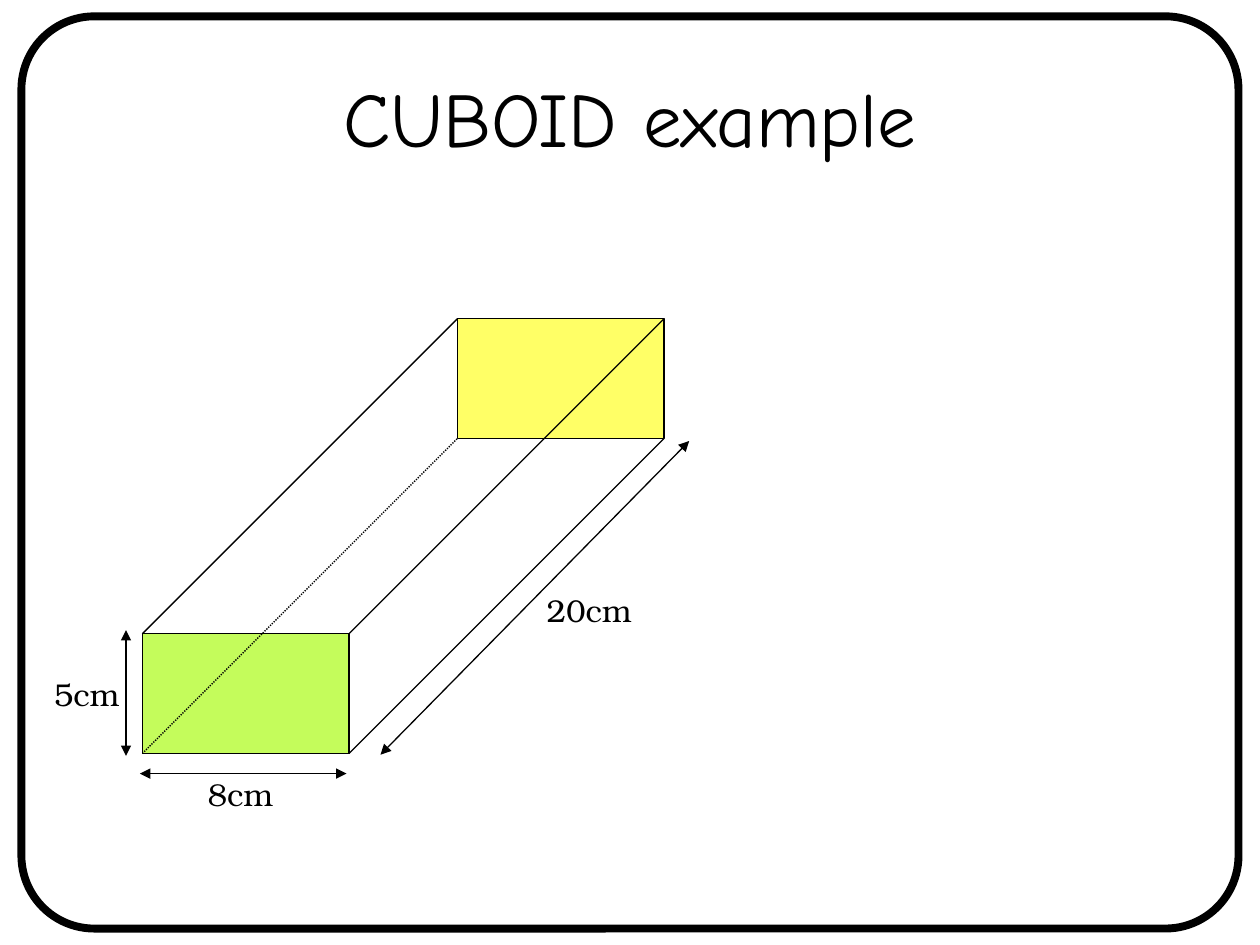
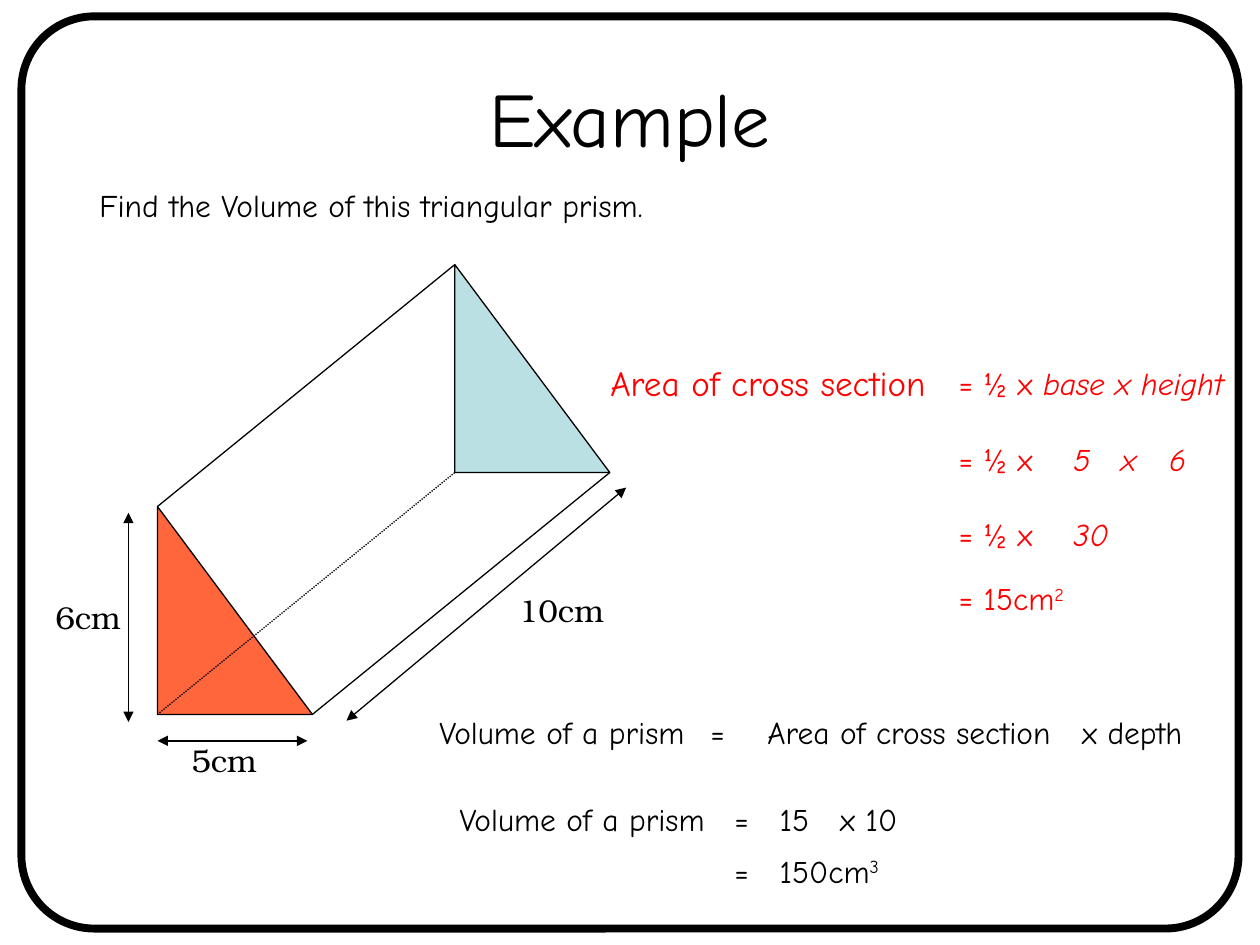
from dataclasses import dataclass

from lxml import etree
from pptx import Presentation
from pptx.dml.color import RGBColor
from pptx.enum.dml import MSO_LINE
from pptx.enum.shapes import MSO_CONNECTOR, MSO_SHAPE
from pptx.enum.text import MSO_ANCHOR, MSO_AUTO_SIZE, PP_ALIGN
from pptx.oxml.ns import qn
from pptx.util import Inches, Pt

BLACK = RGBColor(0x00, 0x00, 0x00)
RED = RGBColor(0xFF, 0x00, 0x00)
YELLOW = RGBColor(0xFF, 0xFF, 0x66)
LIME = RGBColor(0xC4, 0xFC, 0x5B)
PALE_BLUE = RGBColor(0xBB, 0xE0, 0xE3)
ORANGE = RGBColor(0xFF, 0x66, 0x3B)

BODY_FONT = "Comic Neue"
MEASURE_FONT = "TeX Gyre Bonum"

RECTANGLE = MSO_SHAPE.RECTANGLE
RIGHT_TRIANGLE = MSO_SHAPE.RIGHT_TRIANGLE
ROUNDED_RECTANGLE = MSO_SHAPE.ROUNDED_RECTANGLE
STRAIGHT = MSO_CONNECTOR.STRAIGHT
DOTTED = MSO_LINE.ROUND_DOT
LEFT, CENTER = PP_ALIGN.LEFT, PP_ALIGN.CENTER
MIDDLE = MSO_ANCHOR.MIDDLE
FIT_SHAPE, NO_FIT = MSO_AUTO_SIZE.SHAPE_TO_FIT_TEXT, MSO_AUTO_SIZE.NONE

THIN, THICK = 0.75, 4.5
TEXT_HEIGHT = 0.4
MEASURE_WIDTH = 0.92
WORKING_LEFT, WORKING_WIDTH = 7.51, 2.49
WORKING_TABS = (0.91, 1.29, 1.67)
RESULT_LEFT, RESULT_WIDTH = 5.73, 1.82
RESULT_TABS = (0.36, 0.84)
FORMULA_TOP = 5.61

Point = tuple[float, float]


@dataclass(frozen=True)
class Prism:
    face: int
    left: float
    top: float
    width: float
    height: float
    depth: Point
    front_color: RGBColor
    back_color: RGBColor


@dataclass(frozen=True)
class Dimension:
    start: Point
    end: Point
    text: str
    text_left: float
    text_top: float


@dataclass(frozen=True)
class Piece:
    text: str
    italic: bool = False
    superscript: bool = False


@dataclass(frozen=True)
class TextLine:
    pieces: tuple[Piece, ...]
    left: float
    top: float
    width: float
    height: float = TEXT_HEIGHT
    size: int = 18
    color: RGBColor = BLACK
    font: str = BODY_FONT
    align: int = LEFT
    tabs: tuple[float, ...] = ()


@dataclass(frozen=True)
class Page:
    title: str
    prism: Prism
    dimensions: tuple[Dimension, ...]
    lines: tuple[TextLine, ...] = ()


def plain(text: str, left: float, top: float, width: float, **style) -> TextLine:
    return TextLine((Piece(text),), left, top, width, **style)


def working(top: float, *pieces: Piece) -> TextLine:
    return TextLine(pieces, WORKING_LEFT, top, WORKING_WIDTH, color=RED, tabs=WORKING_TABS)


def result(top: float, *pieces: Piece) -> TextLine:
    return TextLine(pieces, RESULT_LEFT, top, RESULT_WIDTH, tabs=RESULT_TABS)


def set_attributes(target, values: dict) -> None:
    for name, value in values.items():
        setattr(target, name, value)


def format_run(run, font: str, size: int, color: RGBColor, italic: bool = False) -> None:
    set_attributes(run.font, {"name": font, "size": Pt(size), "italic": italic})
    run.font.color.rgb = color


def add_tabs(paragraph, positions: tuple[float, ...]) -> None:
    tab_list = etree.SubElement(paragraph._p.get_or_add_pPr(), qn("a:tabLst"))
    for position in positions:
        etree.SubElement(tab_list, qn("a:tab"), pos=str(Inches(position)), algn="l")


def add_text(slide, line: TextLine) -> None:
    box = slide.shapes.add_textbox(
        Inches(line.left), Inches(line.top), Inches(line.width), Inches(line.height)
    )
    set_attributes(box.text_frame, {"word_wrap": True, "auto_size": FIT_SHAPE})
    paragraph = box.text_frame.paragraphs[0]
    paragraph.alignment = line.align
    if line.tabs:
        add_tabs(paragraph, line.tabs)
    for piece in line.pieces:
        run = paragraph.add_run()
        run.text = piece.text
        format_run(run, line.font, line.size, line.color, piece.italic)
        if piece.superscript:
            run._r.get_or_add_rPr().set("baseline", "30000")


def add_outlined_shape(
    slide, kind: int, left: float, top: float, width: float, height: float,
    fill: RGBColor | None = None, weight: float = THIN,
):
    shape = slide.shapes.add_shape(
        kind, Inches(left), Inches(top), Inches(width), Inches(height)
    )
    shape.shadow.inherit = False
    if fill is None:
        shape.fill.background()
    else:
        shape.fill.solid()
        shape.fill.fore_color.rgb = fill
    shape.line.color.rgb = BLACK
    shape.line.width = Pt(weight)
    return shape


def add_line(slide, start: Point, end: Point, dotted: bool = False, arrows: bool = False) -> None:
    connector = slide.shapes.add_connector(
        STRAIGHT, *(Inches(value) for value in (*start, *end))
    )
    connector.line.color.rgb = BLACK
    connector.line.width = Pt(THIN)
    if dotted:
        connector.line.dash_style = DOTTED
    if arrows:
        outline = connector.line._get_or_add_ln()
        for tag in ("a:headEnd", "a:tailEnd"):
            etree.SubElement(outline, qn(tag), type="triangle")
    etree.SubElement(connector._element.spPr, qn("a:effectLst"))


def add_prism(slide, prism: Prism) -> None:
    shift_x, shift_y = prism.depth
    size = (prism.width, prism.height)
    add_outlined_shape(
        slide, prism.face, prism.left + shift_x, prism.top + shift_y, *size, prism.back_color
    )
    add_outlined_shape(slide, prism.face, prism.left, prism.top, *size, prism.front_color)
    right, bottom = prism.left + prism.width, prism.top + prism.height
    hidden_corner = (prism.left, bottom)
    corners = [(right, bottom), hidden_corner, (prism.left, prism.top)]
    if prism.face == RECTANGLE:
        corners.append((right, prism.top))
    for x, y in corners:
        add_line(slide, (x, y), (x + shift_x, y + shift_y), dotted=(x, y) == hidden_corner)


def add_dimension(slide, dimension: Dimension) -> None:
    add_line(slide, dimension.start, dimension.end, arrows=True)
    add_text(slide, plain(
        dimension.text, dimension.text_left, dimension.text_top, MEASURE_WIDTH,
        font=MEASURE_FONT,
    ))


def add_title(slide, text: str) -> None:
    title = slide.shapes.title
    set_attributes(title, {
        "left": Inches(0.5), "top": Inches(0.3), "width": Inches(9), "height": Inches(1.25),
    })
    set_attributes(title.text_frame, {
        "vertical_anchor": MIDDLE, "word_wrap": True, "auto_size": NO_FIT,
    })
    paragraph = title.text_frame.paragraphs[0]
    paragraph.alignment = CENTER
    run = paragraph.add_run()
    run.text = text
    format_run(run, BODY_FONT, 44, BLACK)


def add_page(presentation, page: Page) -> None:
    slide = presentation.slides.add_slide(presentation.slide_layouts.get_by_name("Title Only"))
    add_title(slide, page.title)
    add_prism(slide, page.prism)
    for dimension in page.dimensions:
        add_dimension(slide, dimension)
    for line in page.lines:
        add_text(slide, line)
    frame = add_outlined_shape(slide, ROUNDED_RECTANGLE, 0.17, 0.13, 9.66, 7.24, weight=THICK)
    frame.adjustments[0] = 0.08


PAGES = (
    Page(
        "CUBOID example",
        Prism(RECTANGLE, 1.13, 5.03, 1.64, 0.95, (2.5, -2.5), LIME, YELLOW),
        (
            Dimension((1, 5), (1, 6), "5cm", 0.33, 5.31),
            Dimension((2.75, 6.14), (1.11, 6.14), "8cm", 1.55, 6.1),
            Dimension((5.47, 3.5), (3.02, 5.99), "20cm", 4.24, 4.64),
        ),
    ),
    Page(
        "Example",
        Prism(RIGHT_TRIANGLE, 1.25, 4.02, 1.23, 1.65, (2.36, -1.92), ORANGE, PALE_BLUE),
        (
            Dimension((1.02, 4.07), (1.02, 5.73), "6cm", 0.34, 4.7),
            Dimension((2.44, 5.88), (1.25, 5.88), "5cm", 1.42, 5.83),
            Dimension((4.97, 3.87), (2.75, 5.72), "10cm", 4.02, 4.64),
        ),
        (
            plain("Find the Volume of this triangular prism.", 0.69, 1.43, 5.89),
            plain("Area of cross section", 4.54, 2.82, 3.11,
                  height=0.44, size=20, color=RED, align=CENTER),
            working(2.84, Piece("= ½ x "), Piece("base x height", italic=True)),
            working(3.44, Piece("= ½ x\t"), Piece("5\tx\t6", italic=True)),
            working(4.04, Piece("= ½ x\t"), Piece("30", italic=True)),
            working(4.55, Piece("= 15cm"), Piece("2", superscript=True)),
            plain("Volume of a prism", 3.23, FORMULA_TOP, 2.46, align=CENTER),
            plain("=", 5.54, FORMULA_TOP, 0.77),
            plain("Area of cross section", 5.68, FORMULA_TOP, 3.07, align=CENTER),
            plain("x depth", 8.49, FORMULA_TOP, 1.4),
            plain("Volume of a prism", 3.39, 6.3, 2.46, align=CENTER),
            result(6.3, Piece("=\t15\tx 10")),
            result(6.71, Piece("=\t150cm"), Piece("3", superscript=True)),
        ),
    ),
)


def main() -> None:
    presentation = Presentation()
    presentation.slide_width = Inches(10)
    presentation.slide_height = Inches(7.5)
    for page in PAGES:
        add_page(presentation, page)
    presentation.save("out.pptx")


if __name__ == "__main__":
    main()
